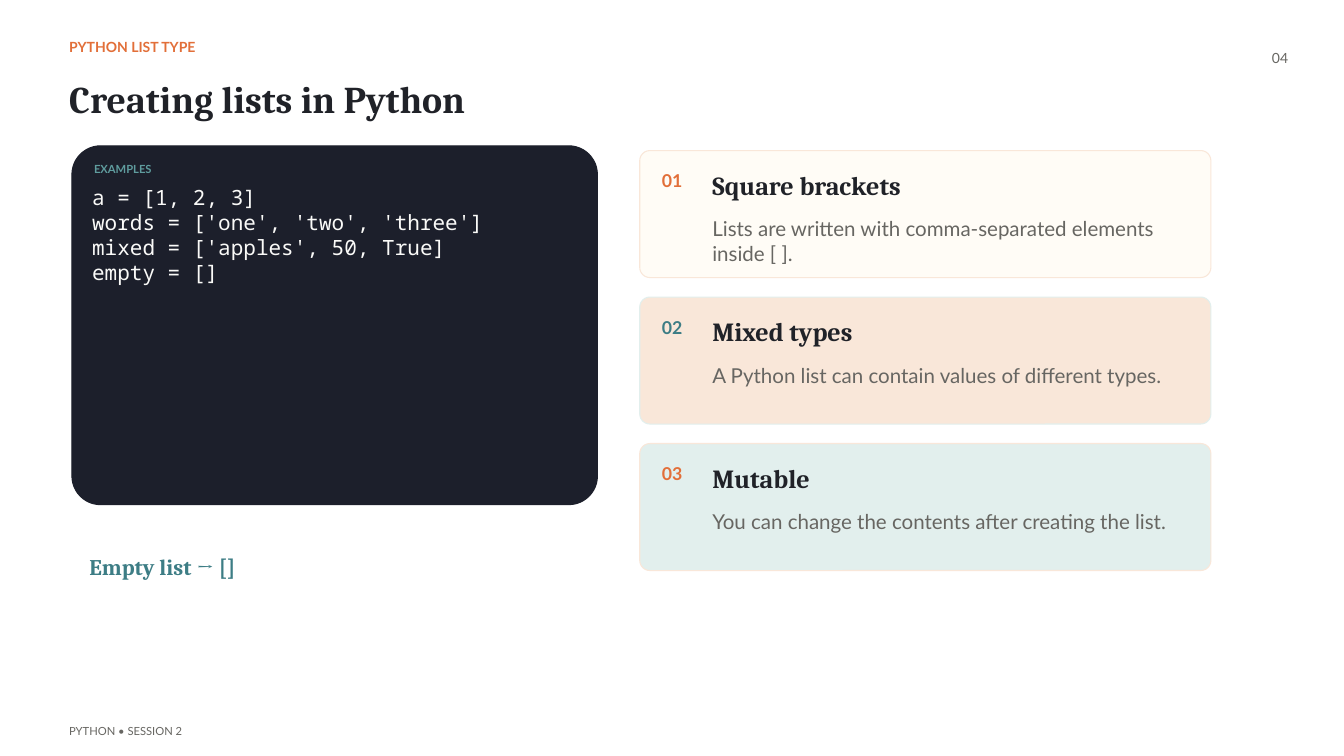
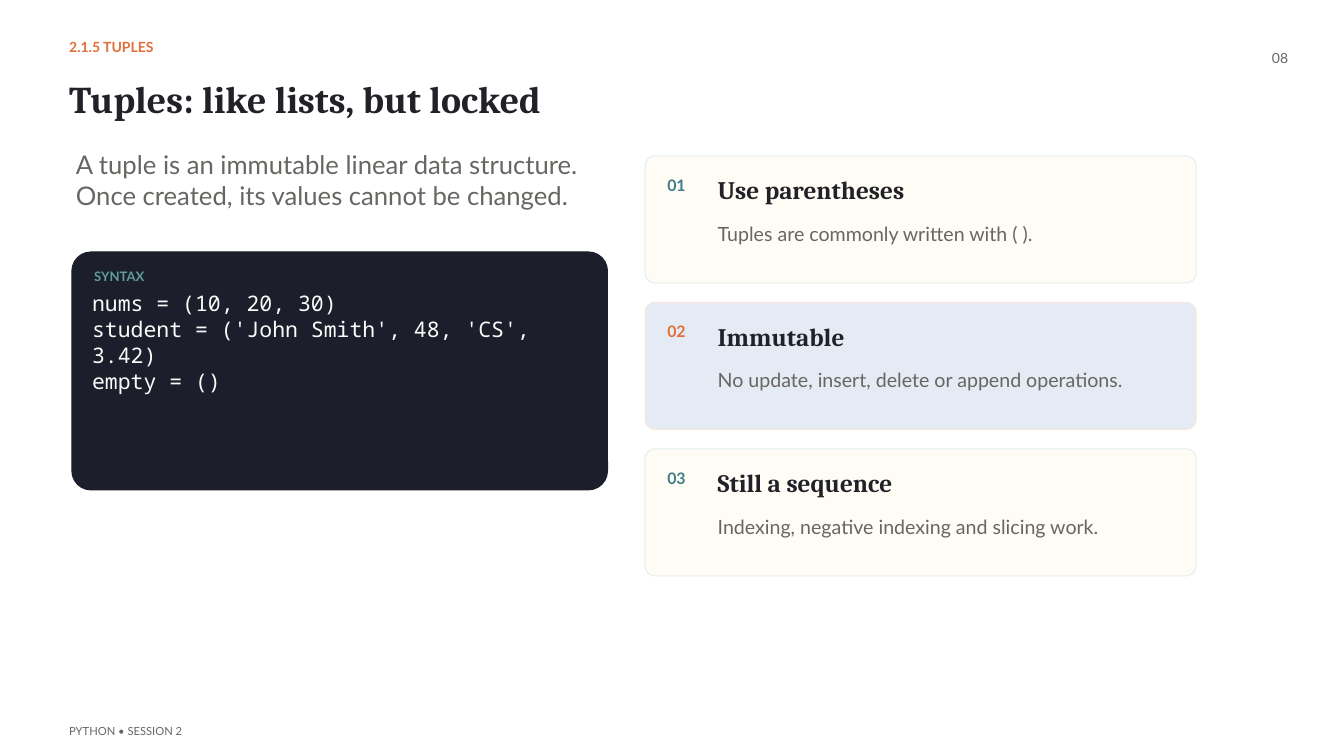
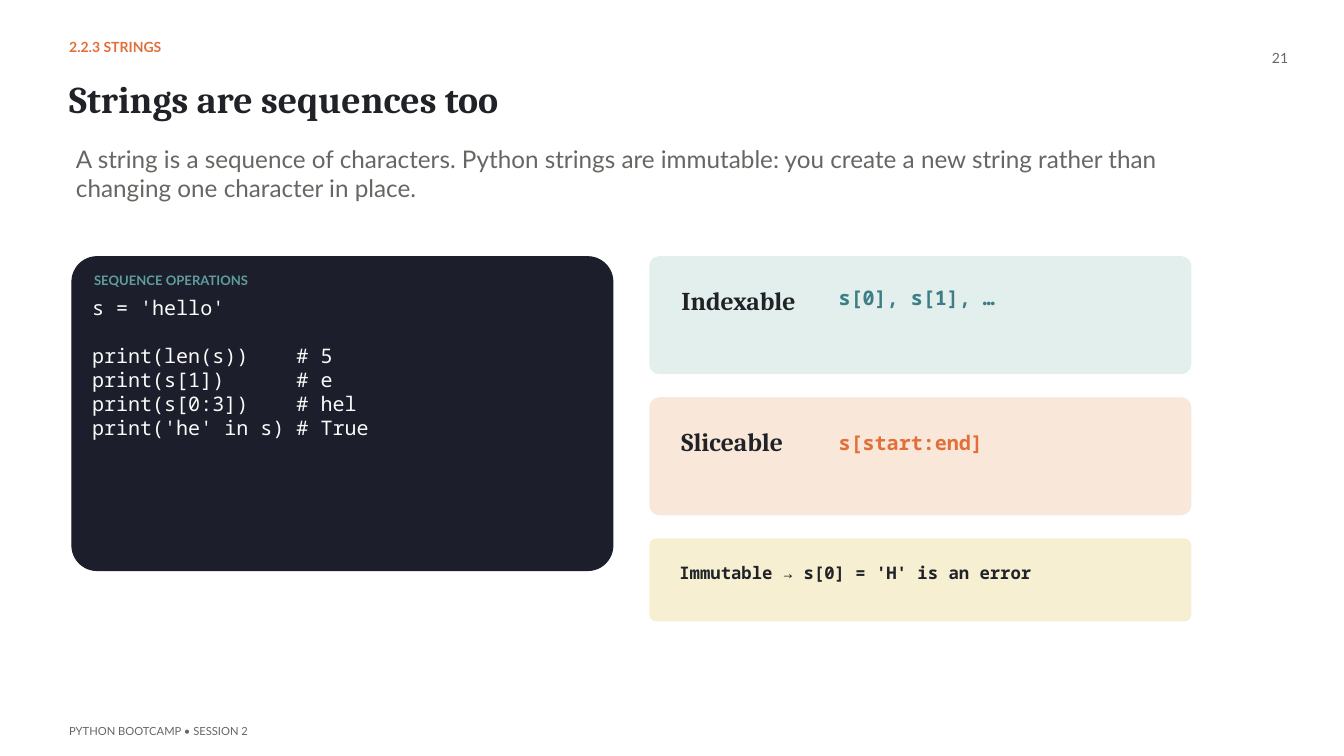
from dataclasses import dataclass

from pptx import Presentation
from pptx.dml.color import RGBColor
from pptx.enum.shapes import MSO_SHAPE
from pptx.enum.text import MSO_ANCHOR, MSO_AUTO_SIZE, PP_ALIGN
from pptx.util import Inches, Pt

ROUNDED = MSO_SHAPE.ROUNDED_RECTANGLE
TOP = MSO_ANCHOR.TOP
FIXED = MSO_AUTO_SIZE.NONE
LEFT, RIGHT = PP_ALIGN.LEFT, PP_ALIGN.RIGHT
TITLE_ONLY = 5
COLUMNS, ROWS = 20, 11.25


@dataclass(frozen=True)
class Theme:
    """Colours, fonts and type sizes of the deck."""
    ink: str = "202228"
    grey: str = "676662"
    orange: str = "E26F39"
    teal: str = "3D7D85"
    pale_teal: str = "5F9C9E"
    night: str = "1C1F2B"
    snow: str = "FAFAF8"
    cream: str = "FFFCF6"
    peach: str = "F9E7D9"
    mint: str = "E2EFED"
    sky: str = "E4EBF4"
    sand: str = "F7EFD2"
    serif: str = "Cambria"
    sans: str = "Lato"
    mono: str = "Noto Sans Mono"
    title: float = 40.5
    kicker: float = 15
    footer: float = 12
    result: float = 24
    tile: float = 27.5
    tile_code: float = 21.5
    tile_note: float = 18.5
    card_large: tuple = (19, 28, 22)
    card_small: tuple = (17, 27, 21)
    leading: float = 1.2
    outline: float = 1.13
    corner: float = 0.08


class Lesson:
    """Builds lesson pages on a grid of 20 columns by 11.25 rows."""

    def __init__(self, theme):
        self.theme = theme
        self.deck = Presentation()
        self.deck.slide_width = Inches(20)
        self.deck.slide_height = Inches(11.25)
        self.page = None

    def area(self, left, top, width, height):
        """Turns columns and rows into lengths on the slide."""
        column = self.deck.slide_width / COLUMNS
        row = self.deck.slide_height / ROWS
        return (round(left * column), round(top * row),
                round(width * column), round(height * row))

    def fill_text(self, box, text, size, font, color, bold=False, align=LEFT):
        """Fills a box with one paragraph a line; an empty line becomes a gap."""
        frame = box.text_frame
        frame.word_wrap = True
        frame.auto_size = FIXED
        frame.vertical_anchor = TOP
        frame.margin_left = frame.margin_right = 0
        frame.margin_top = frame.margin_bottom = 0
        leading = Pt(size * self.theme.leading)
        para, gap = frame.paragraphs[0], 0
        for line in text.split("\n"):
            if not line:
                gap += leading
                continue
            if para.text:
                para = frame.add_paragraph()
            para.text = line
            para.alignment = align
            para.line_spacing = leading
            para.space_before = gap
            para.font.size = Pt(size)
            para.font.name = font
            para.font.bold = bold
            para.font.color.rgb = RGBColor.from_string(color)
            gap = 0

    def text(self, area, text, size, font, color, bold=False, align=LEFT):
        """Adds a text box."""
        box = self.page.shapes.add_textbox(*self.area(*area))
        self.fill_text(box, text, size, font, color, bold, align)

    def panel(self, area, fill, line):
        """Adds a rounded panel."""
        shape = self.page.shapes.add_shape(ROUNDED, *self.area(*area))
        shape.adjustments[0] = self.theme.corner
        shape.shadow.inherit = False
        shape.fill.solid()
        shape.fill.fore_color.rgb = RGBColor.from_string(fill)
        shape.line.color.rgb = RGBColor.from_string(line)
        shape.line.width = Pt(self.theme.outline)

    def start(self, kicker, title, number, footer):
        """Opens a page with its kicker, title, number and footer."""
        look = self.theme
        self.page = self.deck.slides.add_slide(self.deck.slide_layouts[TITLE_ONLY])
        heading = self.page.shapes.title
        heading.left, heading.top, heading.width, heading.height = self.area(
            1.03, 1.12, 16.71, 0.89)
        self.fill_text(heading, title, look.title, look.serif, look.ink, True)
        self.text((1.03, 0.58, 8.61, 0.43), kicker, look.kicker, look.sans,
                  look.orange, True)
        self.text((18.44, 0.73, 0.73, 0.43), number, look.kicker, look.sans,
                  look.grey, align=RIGHT)
        self.text((1.03, 10.78, 9.66, 0.2), footer, look.footer, look.sans,
                  look.grey)

    def intro(self, area, text, size):
        """Adds the opening sentence below the title."""
        self.text(area, text, size, self.theme.sans, self.theme.grey)

    def code(self, top, width, height, label, label_size, listing, size):
        """Adds a dark panel with a label and a code listing."""
        look, left = self.theme, 1.07
        self.panel((left, top, width, height), look.night, look.night)
        self.text((left + 0.33, top + 0.24, width - 0.65, 0.28), label,
                  label_size, look.sans, look.pale_teal, True)
        self.text((left + 0.3, top + 0.57, width - 0.59, height - 0.86), listing,
                  size, look.mono, look.snow)

    def cards(self, left, top, width, sizes, cards):
        """Stacks numbered cards at an even pitch."""
        look = self.theme
        number_size, heading_size, body_size = sizes
        for index, (heading, body, fill, line, accent) in enumerate(cards):
            y = top + index * 2.18
            self.panel((left, y, width, 1.89), fill, line)
            self.text((left + 0.33, y + 0.29, 0.53, 0.31), f"{index + 1:02}",
                      number_size, look.sans, accent, True)
            self.text((left + 1.08, y + 0.28, width - 1.44, 0.47), heading,
                      heading_size, look.serif, look.ink, True)
            self.text((left + 1.08, y + 0.98, width - 1.59, 0.73), body,
                      body_size, look.sans, look.grey)

    def tile(self, top, name, sample, sample_drop, fill, accent):
        """Adds a tile with a property name and a code sample."""
        look, left = self.theme, 9.67
        self.panel((left, top, 8.05, 1.74), fill, fill)
        self.text((left + 0.47, top + 0.42, 1.96, 0.47), name, look.tile,
                  look.serif, look.ink, True)
        self.text((left + 2.81, top + sample_drop, 4.25, 0.41), sample,
                  look.tile_code, look.mono, accent, True)

    def note(self, top, text):
        """Adds a low tile with a single line of code."""
        look, left = self.theme, 9.67
        self.panel((left, top, 8.05, 1.22), look.sand, look.sand)
        self.text((left + 0.44, top + 0.35, 7.11, 0.35), text, look.tile_note,
                  look.mono, look.ink, True)


def add_lists(lesson):
    """Builds the page on creating lists."""
    look = lesson.theme
    lesson.start("PYTHON LIST TYPE", "Creating lists in Python", "04",
                 "PYTHON • SESSION 2")
    lesson.code(2.17, 7.82, 5.34, "EXAMPLES", 12,
                "a = [1, 2, 3]\n"
                "words = ['one', 'two', 'three']\n"
                "mixed = ['apples', 50, True]\n"
                "empty = []", 22.5)
    lesson.cards(9.52, 2.24, 8.5, look.card_large, [
        ("Square brackets",
         "Lists are written with comma-separated elements inside [ ].",
         look.cream, look.peach, look.orange),
        ("Mixed types", "A Python list can contain values of different types.",
         look.peach, look.mint, look.teal),
        ("Mutable", "You can change the contents after creating the list.",
         look.mint, look.peach, look.orange),
    ])
    lesson.text((1.33, 8.23, 6.2, 0.43), "Empty list → []", look.result,
                look.serif, look.teal, True)


def add_tuples(lesson):
    """Builds the page on tuples."""
    look = lesson.theme
    lesson.start("2.1.5 TUPLES", "Tuples: like lists, but locked", "08",
                 "PYTHON • SESSION 2")
    lesson.intro((1.13, 2.22, 8.25, 0.93),
                 "A tuple is an immutable linear data structure. "
                 "Once created, its values cannot be changed.", 27.5)
    lesson.code(3.75, 7.97, 3.54, "SYNTAX", 14,
                "nums = (10, 20, 30)\n"
                "student = ('John Smith', 48, 'CS', 3.42)\n"
                "empty = ()", 23)
    lesson.cards(9.6, 2.32, 8.2, look.card_small, [
        ("Use parentheses", "Tuples are commonly written with ( ).",
         look.cream, look.mint, look.teal),
        ("Immutable", "No update, insert, delete or append operations.",
         look.sky, look.peach, look.orange),
        ("Still a sequence", "Indexing, negative indexing and slicing work.",
         look.cream, look.mint, look.teal),
    ])


def add_strings(lesson):
    """Builds the page on strings."""
    look = lesson.theme
    lesson.start("2.2.3 STRINGS", "Strings are sequences too", "21",
                 "PYTHON BOOTCAMP • SESSION 2")
    lesson.intro((1.13, 2.15, 16.11, 0.85),
                 "A string is a sequence of characters. Python strings are "
                 "immutable: you create a new string rather than changing one "
                 "character in place.", 26)
    lesson.code(3.82, 8.05, 4.67, "SEQUENCE OPERATIONS", 14,
                "s = 'hello'\n\n"
                "print(len(s))    # 5\n"
                "print(s[1])      # e\n"
                "print(s[0:3])    # hel\n"
                "print('he' in s) # True", 21.5)
    top, pitch = 3.82, 2.1
    lesson.tile(top, "Indexable", "s[0], s[1], …", 0.43, look.mint, look.teal)
    lesson.tile(top + pitch, "Sliceable", "s[start:end]", 0.49, look.peach,
                look.orange)
    lesson.note(top + 2 * pitch, "Immutable → s[0] = 'H' is an error")


def main():
    """Builds and saves the deck."""
    lesson = Lesson(Theme())
    add_lists(lesson)
    add_tuples(lesson)
    add_strings(lesson)
    lesson.deck.save("out.pptx")


if __name__ == "__main__":
    main()
